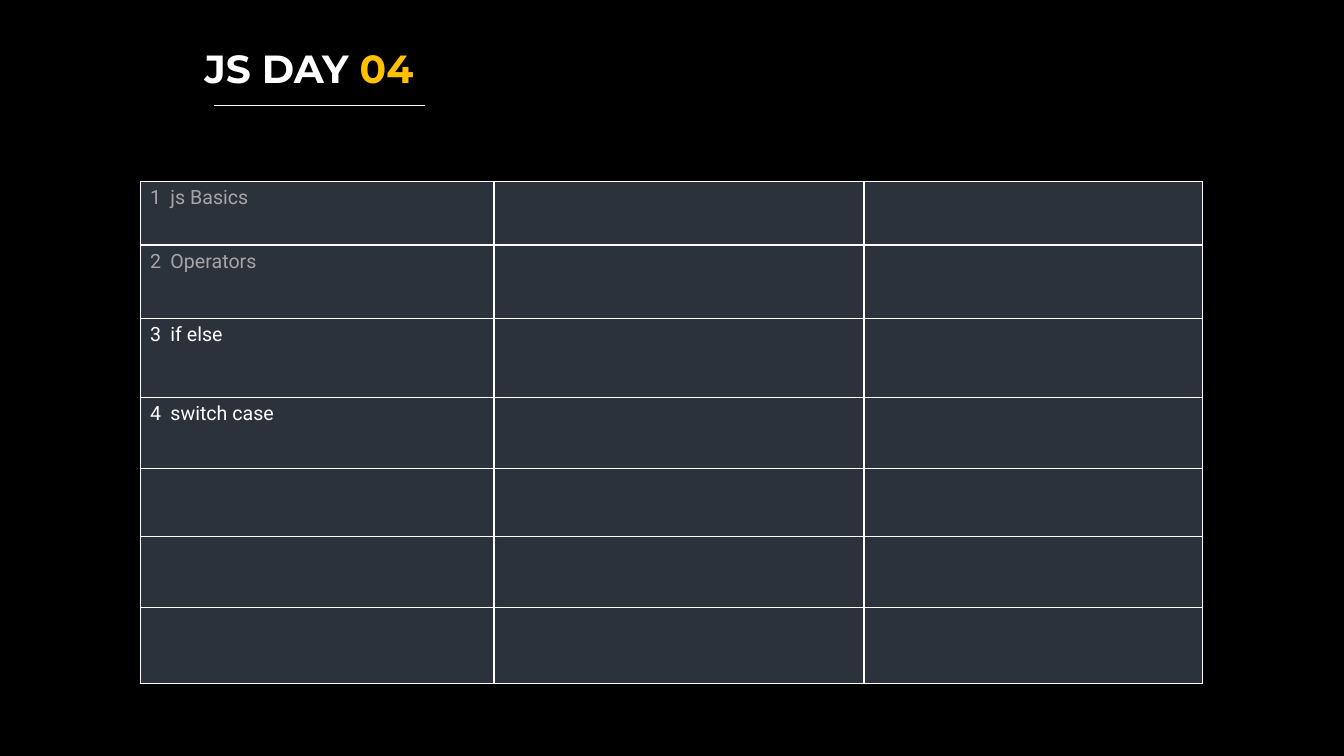
from lxml.etree import SubElement
from pptx import Presentation
from pptx.dml.color import RGBColor
from pptx.enum.shapes import MSO_CONNECTOR as Connector
from pptx.enum.text import MSO_ANCHOR as Anchor, MSO_AUTO_SIZE as AutoSize, PP_ALIGN as Align
from pptx.oxml.ns import qn
from pptx.util import Inches, Pt

COLORS = {
    "background": "000000",
    "text": "FFFFFF",
    "done": "A6A6A6",
    "accent": "FFC000",
    "cell": "2B323C",
    "line": "FFFFFF",
}
COLUMN_WIDTHS = [3.51, 3.67, 3.36]
ROW_HEIGHTS = [0.63, 0.73, 0.78, 0.71, 0.67, 0.71, 0.75]
TOPICS = [("js Basics", "done"), ("Operators", "done"), ("if else", "text"), ("switch case", "text")]
NUMBER_INDENT = Inches(0.2)


def rgb(name):
    return RGBColor.from_string(COLORS[name])


def add_run(paragraph, text, font_name, size, color, bold=False):
    run = paragraph.add_run()
    run.text = text
    run.font.name = font_name
    run.font.size = Pt(size)
    run.font.bold = bold
    run.font.color.rgb = rgb(color)


def set_title(slide, parts):
    title = slide.shapes.title
    title.left, title.top = Inches(1.93), Inches(0.39)
    title.width, title.height = Inches(11.31), Inches(0.57)
    frame = title.text_frame
    frame.word_wrap = True
    frame.auto_size = AutoSize.NONE
    frame.vertical_anchor = Anchor.TOP
    paragraph = frame.paragraphs[0]
    paragraph.alignment = Align.LEFT
    for text, color in parts:
        add_run(paragraph, text, "Montserrat", 28, color, bold=True)


def add_rule(slide, left, right, top):
    rule = slide.shapes.add_connector(
        Connector.STRAIGHT, Inches(left), Inches(top), Inches(right), Inches(top))
    rule.line.color.rgb = rgb("line")
    rule.line.width = Pt(0.75)
    SubElement(rule._element.spPr, qn("a:effectLst"))


def style_cell(cell):
    """Draw the four borders, which must precede the fill in the XML, then fill."""
    properties = cell._tc.get_or_add_tcPr()
    for side in ("a:lnL", "a:lnR", "a:lnT", "a:lnB"):
        border = SubElement(properties, qn(side), w=str(Pt(1)))
        fill = SubElement(border, qn("a:solidFill"))
        SubElement(fill, qn("a:srgbClr"), val=COLORS["line"])
    cell.fill.solid()
    cell.fill.fore_color.rgb = rgb("cell")


def write_topic(cell, number, topic, color):
    """Write a number and a topic, parted by a tab to a hanging indent."""
    paragraph = cell.text_frame.paragraphs[0]
    properties = paragraph._p.get_or_add_pPr()
    properties.set("marL", str(NUMBER_INDENT))
    properties.set("indent", str(-NUMBER_INDENT))
    add_run(paragraph, f"{number}\t{topic}", "Roboto", 14, color)


def add_topic_table(slide, left, top):
    table = slide.shapes.add_table(
        len(ROW_HEIGHTS), len(COLUMN_WIDTHS), Inches(left), Inches(top),
        Inches(sum(COLUMN_WIDTHS)), Inches(sum(ROW_HEIGHTS))).table
    table.first_row = table.horz_banding = False
    for column, width in zip(table.columns, COLUMN_WIDTHS):
        column.width = Inches(width)
    for row, height in zip(table.rows, ROW_HEIGHTS):
        row.height = Inches(height)
    for cell in table.iter_cells():
        style_cell(cell)
    for index, (topic, color) in enumerate(TOPICS):
        write_topic(table.cell(index, 0), index + 1, topic, color)


def main():
    presentation = Presentation()
    presentation.slide_width = Inches(13.33)
    presentation.slide_height = Inches(7.5)
    slide = presentation.slides.add_slide(presentation.slide_layouts.get_by_name("Title Only"))
    slide.background.fill.solid()
    slide.background.fill.fore_color.rgb = rgb("background")
    set_title(slide, [("JS DAY ", "text"), ("04", "accent")])
    add_rule(slide, 2.12, 4.22, 1.05)
    add_topic_table(slide, 1.39, 1.8)
    presentation.save("out.pptx")


if __name__ == "__main__":
    main()
